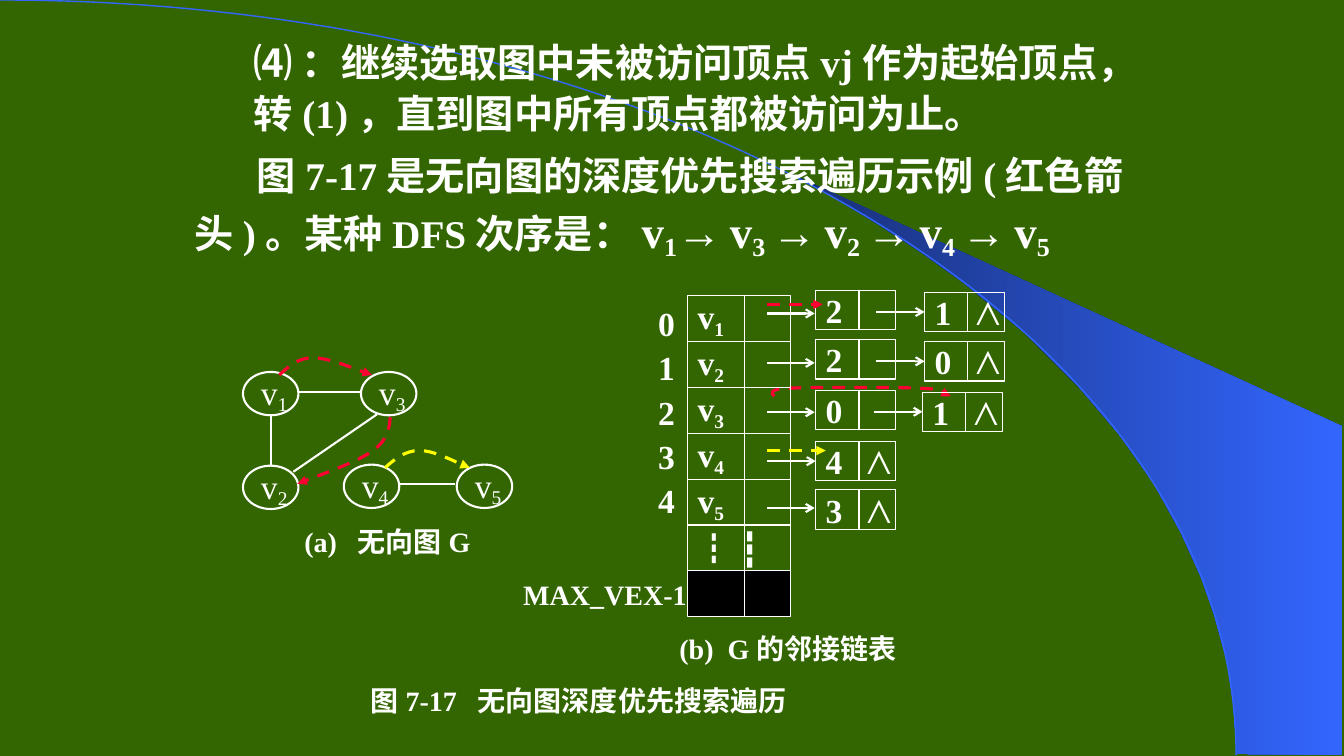
from dataclasses import dataclass

from lxml.etree import SubElement
from pptx import Presentation
from pptx.dml.color import RGBColor
from pptx.enum.dml import MSO_LINE
from pptx.enum.shapes import MSO_CONNECTOR, MSO_SHAPE
from pptx.enum.text import MSO_ANCHOR, PP_ALIGN
from pptx.oxml.ns import qn
from pptx.util import Inches, Pt


@dataclass(frozen=True)
class Theme:
    ground: str = "336600"
    white: str = "FFFFFF"
    black: str = "000000"
    red: str = "FF0033"
    yellow: str = "FFFF00"
    blue: str = "3366FF"
    navy: str = "182F76"
    latin: str = "Times New Roman"
    cjk: str = "Noto Sans CJK SC"
    caption: int = 20
    label: int = 24
    body: int = 28
    sequence: int = 32
    hairline: float = 0.75
    edge: float = 1.5
    trace: float = 2.25


THEME = Theme()


def put_span(para, text, size=THEME.label, bold=True, font=THEME.latin, baseline=0, tracking=0):
    span = para.add_run()
    span.text = text
    span.font.size = Pt(size)
    span.font.bold = bold
    span.font.name = font
    span.font.color.rgb = RGBColor.from_string(THEME.white)
    properties = span.font._element
    SubElement(properties, qn("a:ea")).set("typeface", THEME.cjk)
    if baseline:
        properties.set("baseline", str(baseline * 1000))
    if tracking:
        properties.set("spc", str(round(tracking * 100)))


class SlideBuilder:
    def __init__(self, page, theme):
        self.page = page
        self.theme = theme
        page.background.fill.solid()
        page.background.fill.fore_color.rgb = RGBColor.from_string(theme.ground)

    def stroke(self, item, color, width, dashed=False, head=None):
        item.line.color.rgb = RGBColor.from_string(color)
        item.line.width = Pt(width)
        if dashed:
            item.line.dash_style = MSO_LINE.DASH
        properties = item._element.spPr
        if head:
            SubElement(properties.find(qn("a:ln")), qn("a:tailEnd")).set("type", head)
        SubElement(properties, qn("a:effectLst"))

    def frame(self, box, wrap=False, anchor=MSO_ANCHOR.MIDDLE):
        frame = box.text_frame
        frame.word_wrap = wrap
        frame.vertical_anchor = anchor
        frame.margin_right = 0
        frame.paragraphs[0].alignment = PP_ALIGN.LEFT
        return frame

    def textbox(self, left, top, width, height, **layout):
        box = self.page.shapes.add_textbox(*map(Inches, (left, top, width, height)))
        return self.frame(box, **layout)

    def caption(self, left, top, width, height, text):
        frame = self.textbox(left, top, width, height)
        put_span(frame.paragraphs[0], text, size=self.theme.caption)

    def outline(self, kind, left, top, width, height, weight, fill=None):
        box = self.page.shapes.add_shape(kind, *map(Inches, (left, top, width, height)))
        if fill:
            box.fill.solid()
            box.fill.fore_color.rgb = RGBColor.from_string(fill)
        else:
            box.fill.background()
        self.stroke(box, self.theme.white, weight)
        return box

    def line(self, start, end, color=THEME.white, width=THEME.edge, dashed=False, head=None, target=None):
        link = self.page.shapes.add_connector(MSO_CONNECTOR.STRAIGHT, *map(Inches, (*start, *end)))
        self.stroke(link, color, width, dashed, head)
        if target:
            link.end_connect(target, 1)

    def polygon(self, points, closed=False):
        corners = [(Inches(x), Inches(y)) for x, y in points]
        builder = self.page.shapes.build_freeform(*corners[0], scale=1.0)
        builder.add_line_segments(corners[1:], close=closed)
        return builder.convert_to_shape()

    def curve(self, points, color, width, **style):
        shape = self.polygon(points)
        shape.fill.background()
        self.stroke(shape, color, width, **style)
        route = shape._element.spPr.find(".//" + qn("a:path"))
        segments = route.findall(qn("a:lnTo"))
        for first in range(0, len(segments), 3):
            cubic = SubElement(route, qn("a:cubicBezTo"))
            for segment in segments[first:first + 3]:
                cubic.append(segment[0])
                route.remove(segment)

    def swoosh(self, points):
        shape = self.polygon(points, closed=True)
        shape.shadow.inherit = False
        shape.line.fill.background()
        shape.fill.gradient()
        shape.fill.gradient_angle = 0
        for stop, color in zip(shape.fill.gradient_stops, (self.theme.navy, self.theme.blue)):
            stop.color.rgb = RGBColor.from_string(color)

    def vertex(self, number, left, top):
        oval = self.outline(MSO_SHAPE.OVAL, left, top, 0.55, 0.43, self.theme.edge)
        para = self.frame(oval).paragraphs[0]
        put_span(para, "v", bold=False)
        put_span(para, str(number), bold=False, baseline=-18)

    def cell(self, left, top, width, height, divider, fill=None):
        box = self.outline(MSO_SHAPE.RECTANGLE, left, top, width, height, self.theme.hairline, fill)
        self.line((left + divider, top), (left + divider, top + height), width=self.theme.hairline)
        return box

    def node(self, left, top, digit, last):
        box = self.cell(left, top, 0.79, 0.39, 0.43)
        para = self.frame(box, wrap=True).paragraphs[0]
        put_span(para, digit + "\t" if last else digit)
        if last:
            put_span(para, "⋀", bold=False)
            stops = SubElement(para._p.get_or_add_pPr(), qn("a:tabLst"))
            stop = SubElement(stops, qn("a:tab"))
            stop.set("pos", str(Inches(0.41)))
            stop.set("algn", "l")
        return box


def draw_backdrop(slide):
    slide.swoosh([(12.27, 7.48), (13.31, 7.49), (13.31, 4.23), (7.86, 1.73), (8.32, 1.99), (8.7, 2.22),
                  (9.13, 2.5), (9.55, 2.8), (10.16, 3.3), (10.7, 3.84), (11.1, 4.31), (11.44, 4.79),
                  (11.71, 5.28), (11.91, 5.72), (12.04, 6.09), (12.17, 6.56), (12.23, 6.96)])
    slide.curve([(0, 0), (6.77, 0), (12.26, 3.35), (12.26, 7.49)], THEME.blue, 1)


def draw_graph(slide):
    vertices = [(2.41, 3.69), (2.41, 4.62), (3.58, 3.69), (3.41, 4.61), (4.53, 4.61)]
    for number, place in enumerate(vertices, 1):
        slide.vertex(number, *place)
    for start, end in [((2.69, 4.12), (2.69, 4.62)), ((2.91, 4.68), (3.74, 4.11)),
                       ((2.96, 3.89), (3.59, 3.89)), ((3.96, 4.8), (4.51, 4.8))]:
        slide.line(start, end)
    traces = [
        (THEME.red, (2.77, 3.72), (2.86, 3.64), (2.95, 3.55), (3.1, 3.55), (3.26, 3.55), (3.59, 3.69), (3.69, 3.72)),
        (THEME.red, (3.87, 4.14), (3.86, 4.25), (3.85, 4.36), (3.7, 4.47), (3.55, 4.58), (3.07, 4.75), (2.95, 4.8)),
        (THEME.yellow, (3.82, 4.64), (3.92, 4.55), (4.02, 4.47), (4.16, 4.47), (4.3, 4.47), (4.57, 4.61), (4.66, 4.64)),
        (THEME.red, (7.68, 3.93), (7.65, 3.9), (7.61, 3.86), (7.85, 3.85), (8.08, 3.84), (8.83, 3.84), (9.1, 3.85),
         (9.36, 3.86), (9.38, 3.92), (9.43, 3.93)),
    ]
    for color, *points in traces:
        slide.curve(points, color, THEME.trace, dashed=True, head="triangle")


def draw_adjacency_list(slide):
    indices = slide.textbox(6.43, 2.91, 0.39, 2.31)
    for index in range(5):
        para = indices.paragraphs[0] if index == 0 else indices.add_paragraph()
        para.line_spacing = 1.1
        put_span(para, str(index))

    pitch = (6.12 - 2.93) / 7
    for row in range(7):
        box = slide.cell(6.82, 2.93 + row * pitch, 1.02, pitch, 0.56, THEME.black if row == 6 else None)
        para = slide.frame(box).paragraphs[0]
        if row < 5:
            put_span(para, "v")
            put_span(para, str(row + 1), baseline=-20)
        elif row == 5:
            put_span(para, "┇", font=THEME.cjk)
            put_span(para, " ┇")

    chains = [(2.88, 3.11, "2", (9.17, 2.9, "1")), (3.37, 3.6, "2", (9.17, 3.39, "0")),
              (3.87, 4.09, "0", (9.15, 3.89, "1")), (4.38, 4.58, "4", None), (4.86, 5.04, "3", None)]
    for top, arrow_y, digit, following in chains:
        first = slide.node(8.09, top, digit, last=following is None)
        centred = abs(top + 0.195 - arrow_y) < 0.01
        start_y = top + 0.195 if centred else arrow_y
        slide.line((7.61, start_y), (8.08, start_y), head="arrow", target=first if centred else None)
        if following:
            left, next_top, _ = following
            second = slide.node(*following, last=True)
            middle = next_top + 0.195
            slide.line((left - 0.48, middle), (left, middle), head="arrow", target=second)

    for y, end_x, color in [(4.47, 8.19, THEME.yellow), (3.02, 8.16, THEME.red)]:
        slide.line((7.61, y), (end_x, y), color, THEME.trace, dashed=True, head="triangle")


def write_body(slide):
    frame = slide.textbox(1.83, 0.28, 9.64, 2.36, wrap=True, anchor=MSO_ANCHOR.TOP)
    frame.margin_right = Inches(0.1)
    step, example = frame.paragraphs[0], frame.add_paragraph()
    for para, gap in ((step, 6), (example, 7)):
        para.line_spacing = 1.1
        para.space_before = Pt(gap)
    step._p.get_or_add_pPr().set("marL", str(Inches(0.59)))
    example._p.get_or_add_pPr().set("indent", str(Inches(0.62)))
    put_span(step, "⑷", size=THEME.body, font=THEME.cjk)
    put_span(step, " ：继续选取图中未被访问顶点vj作为起始顶点，转(1)，直到图中所有顶点都被访问为止。", size=THEME.body)
    put_span(example, "图7-17是无向图的深度优先搜索遍历示例(红色箭头)。某种DFS次序是", size=THEME.body)
    put_span(example, "：", size=THEME.body, font=THEME.cjk)
    for lead, number in [("v", "1"), ("→ v", "3 "), ("→ v", "2 "), ("→ v", "4 "), ("→ v", "5")]:
        put_span(example, lead, size=THEME.sequence, tracking=-1.1 if "→" in lead else 0)
        put_span(example, number, size=THEME.sequence, baseline=-18)


def main():
    deck = Presentation()
    deck.slide_width, deck.slide_height = Inches(13.33), Inches(7.5)
    slide = SlideBuilder(deck.slides.add_slide(deck.slide_layouts[6]), THEME)
    draw_backdrop(slide)
    draw_graph(slide)
    draw_adjacency_list(slide)
    slide.caption(3.58, 6.77, 4.4, 0.35, "图7-17  无向图深度优先搜索遍历")
    slide.caption(2.92, 5.19, 1.85, 0.35, "(a)  无向图G")
    slide.caption(6.64, 6.26, 2.4, 0.35, "(b)  G的邻接链表")
    slide.caption(5.09, 5.7, 1.73, 0.39, "MAX_VEX-1")
    write_body(slide)
    deck.save("out.pptx")


if __name__ == "__main__":
    main()
